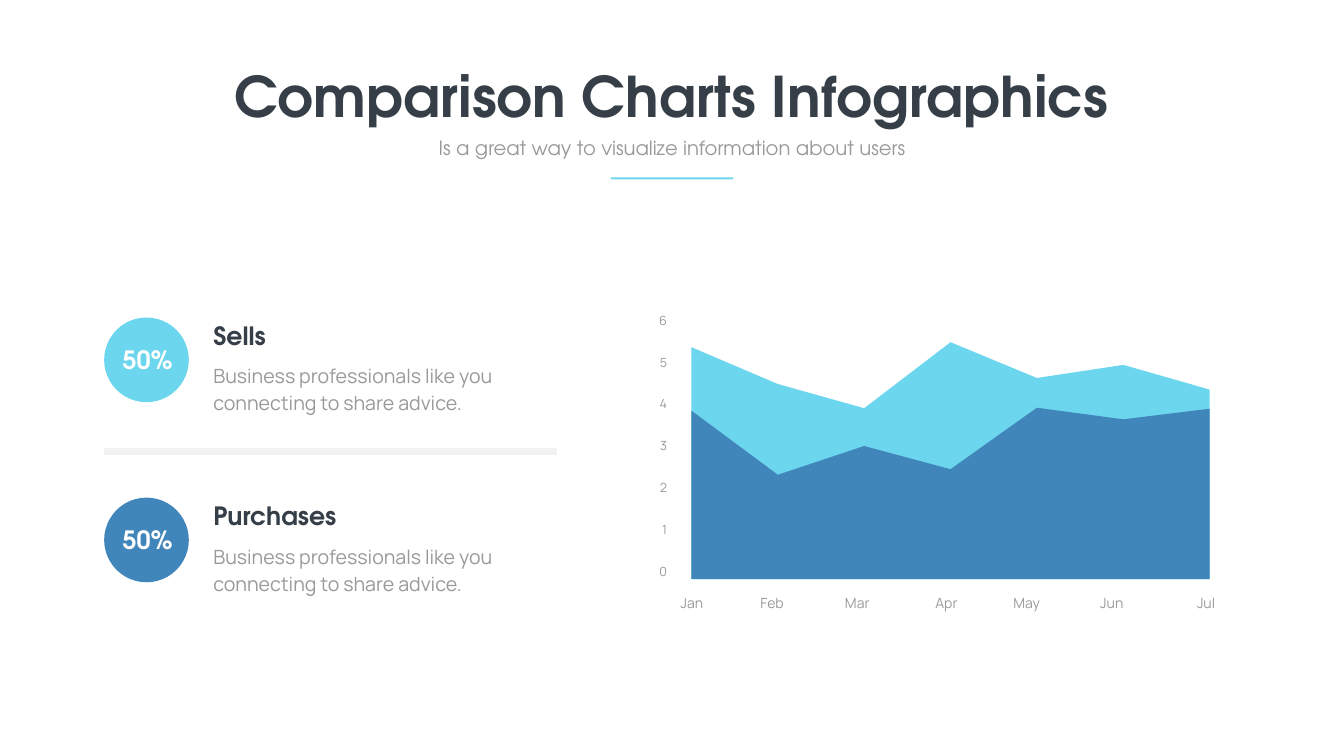
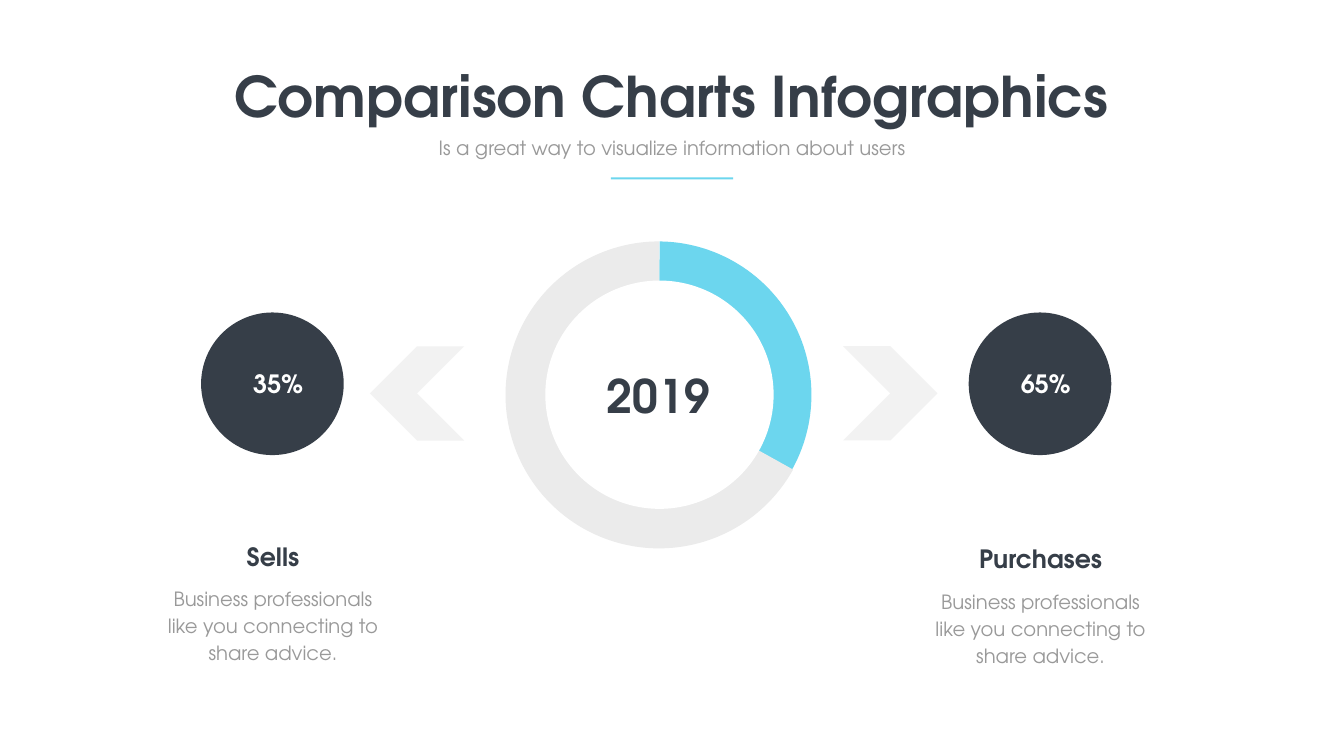
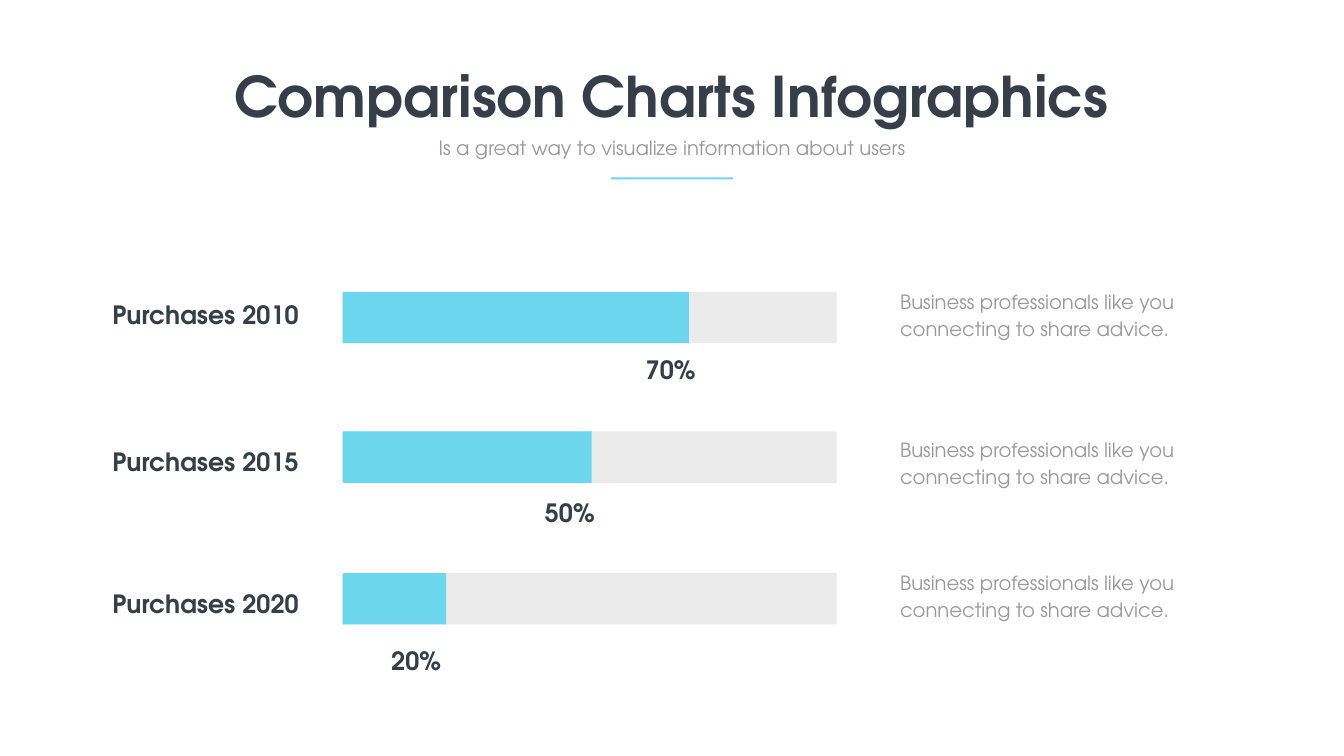
from lxml.etree import SubElement
from pptx import Presentation
from pptx.dml.color import RGBColor
from pptx.enum.shapes import MSO_CONNECTOR, MSO_SHAPE as Preset
from pptx.enum.text import MSO_AUTO_SIZE as AutoSize, PP_ALIGN as Align
from pptx.oxml.ns import qn
from pptx.util import Emu, Pt

# The slide is a grid of 80 columns by 45 rows of square cells.
COLUMNS, ROWS = 80, 45
CELL = 304800

CYAN, BLUE, DARK = "6CD6EE", "4186BA", "363E48"
GREY, TRACK, PALE, WHITE = "999999", "EBEBEB", "F2F2F2", "FFFFFF"
DISPLAY, PLAIN = "TeX Gyre Adventor", "Manrope"
ADVICE = "Business professionals like you connecting to share advice."


def cells(count):
    return Emu(round(count * CELL))


def color(hex_code):
    return RGBColor.from_string(hex_code)


def paint(shape, fill):
    shape.shadow.inherit = False
    shape.fill.solid()
    shape.fill.fore_color.rgb = color(fill)
    shape.line.fill.background()
    return shape


def add_block(slide, preset, left, top, width, height, fill):
    box = [cells(n) for n in (left, top, width, height)]
    return paint(slide.shapes.add_shape(preset, *box), fill)


def add_text(slide, words, left, top, width, height, size, ink=GREY, font=DISPLAY,
             bold=False, align=Align.LEFT, spacing=None, wrap=True):
    box = slide.shapes.add_textbox(*[cells(n) for n in (left, top, width, height)])
    frame = box.text_frame
    frame.word_wrap = wrap
    frame.auto_size = AutoSize.SHAPE_TO_FIT_TEXT
    paragraph = frame.paragraphs[0]
    paragraph.alignment = align
    if spacing:
        paragraph.line_spacing = Pt(spacing)
    run = paragraph.add_run()
    run.text = words
    run.font.name, run.font.size, run.font.bold = font, Pt(size), bold
    run.font.color.rgb = color(ink)


def add_heading(slide, words, left, top, width, ink=DARK, align=Align.LEFT, wrap=True):
    add_text(slide, words, left, top, width, 2.13, 36, ink, bold=True,
             align=align, wrap=wrap)


def add_advice(slide, left, top, width, lines, font=DISPLAY, align=Align.LEFT):
    add_text(slide, ADVICE, left, top, width, 0.3 + 1.62 * lines, 28, font=font,
             align=align, spacing=38.6)


def add_divider(slide, left, right, row, ink, weight):
    line = slide.shapes.add_connector(
        MSO_CONNECTOR.STRAIGHT, cells(left), cells(row), cells(right), cells(row))
    line.line.color.rgb = color(ink)
    line.line.width = Pt(weight)
    SubElement(line._element.spPr, qn("a:effectLst"))


def add_area(slide, left, right, base, tops, fill):
    """Fill from evenly spaced tops down to the base row."""
    step = (right - left) / (len(tops) - 1)
    ridge = [(left + i * step, top) for i, top in enumerate(tops)]
    outline = [(cells(x), cells(y)) for x, y in ridge + [(right, base), (left, base)]]
    builder = slide.shapes.build_freeform(*outline[0], scale=1.0)
    builder.add_line_segments(outline[1:], close=True)
    paint(builder.convert_to_shape(), fill)


def add_sector(slide, left, top, size, start, end, fill):
    """Draw a pie sector clockwise between two angles in degrees."""
    sector = add_block(slide, Preset.PIE, left, top, size, size, fill)
    for i, angle in enumerate((start, end)):
        sector.adjustments[i] = angle * 0.6


def add_titled_slide(deck):
    slide = deck.slides.add_slide(deck.slide_layouts[6])
    add_text(slide, "Comparison Charts Infographics", 13.4, 3.5, 53.13, 4.35, 80,
             DARK, bold=True, align=Align.CENTER, wrap=False)
    add_text(slide, "Is a great way to visualize information about users",
             25.65, 7.95, 28.7, 1.7, 28, align=Align.CENTER)
    add_block(slide, Preset.RECTANGLE, 36.36, 10.56, 7.28, 0.12, CYAN)
    return slide


def add_area_slide(deck):
    slide = add_titled_slide(deck)
    add_divider(slide, 6.2, 33.15, 26.9, PALE, 10)
    for i, (name, fill) in enumerate([("Sells", CYAN), ("Purchases", BLUE)]):
        top = 18.9 + 10.72 * i
        add_advice(slide, 12.4, top + 2.43, 20.5, 2, PLAIN)
        add_heading(slide, name, 12.4, top, 14.34)
        add_block(slide, Preset.OVAL, 6.2, top, 5.04, 5.04, fill)
        add_heading(slide, "50%", 7, top + 1.42, 5.55, WHITE)

    sells = [20.67, 22.86, 24.3, 20.37, 22.5, 21.72, 23.19]
    purchases = [24.45, 28.26, 26.55, 27.93, 24.27, 24.96, 24.33]
    for tops, fill in ((sells, CYAN), (purchases, BLUE)):
        add_area(slide, 41.16, 72, 34.47, tops, fill)

    for value in range(7):
        add_text(slide, str(value), 38, 17.88 + 2.49 * (6 - value), 2, 1.68, 18,
                 font=PLAIN, align=Align.RIGHT, spacing=35.6)
    months = {"Jan": 39.18, "Feb": 43.95, "Mar": 49.02, "Apr": 54.33,
              "May": 59.1, "Jun": 64.17, "Jul": 69.78}
    for month, left in months.items():
        add_text(slide, month, left, 34.74, 4.02, 1.68, 20,
                 font=PLAIN, align=Align.CENTER, spacing=35.6)


def add_ring_slide(deck):
    slide = add_titled_slide(deck)
    add_sector(slide, 30.03, 14.37, 18.27, 270.65, 29.87, CYAN)
    add_sector(slide, 30.09, 14.37, 18.27, 29.11, 270.07, TRACK)
    add_block(slide, Preset.OVAL, 32.46, 16.7, 13.59, 13.59, WHITE)
    add_text(slide, "2019", 35.79, 21.69, 6.84, 3.63, 66, DARK, bold=True,
             align=Align.CENTER, wrap=False)

    sides = [("Sells", "35%", 16.24, 32.07, 34.56, 22.02, 180),
             ("Purchases", "65%", 61.93, 32.22, 34.77, 50.19, 0)]
    for name, share, center, name_top, advice_top, arrow_left, turn in sides:
        add_block(slide, Preset.OVAL, center - 4.27, 18.6, 8.49, 8.49, DARK)
        add_heading(slide, share, center - 7.02, 21.78, 14.67, WHITE, Align.CENTER)
        add_heading(slide, name, center - 7.33, name_top, 14.67, align=Align.CENTER)
        add_advice(slide, center - 7.06, advice_top, 14.13, 3, align=Align.CENTER)
        arrow = add_block(slide, Preset.CHEVRON, arrow_left, 20.61, 5.61, 5.61, PALE)
        arrow.rotation = turn


def add_bar_slide(deck):
    slide = add_titled_slide(deck)
    # year, share, bar top, filled width, name top, share left, share top, advice top
    bars = [("2010", "70%", 17.37, 20.61, 17.64, 38.1, 20.94, 16.92),
            ("2015", "50%", 25.68, 14.82, 26.43, 32.1, 29.46, 25.71),
            ("2020", "20%", 34.11, 6.15, 34.89, 22.95, 38.28, 33.63)]
    for year, share, top, filled, name_top, share_left, share_top, advice_top in bars:
        for width, fill in ((29.4, TRACK), (filled, CYAN)):
            add_block(slide, Preset.RECTANGLE, 20.4, top, width, 3.06, fill)
        add_heading(slide, f"Purchases {year}", 6.39, name_top, 14.04)
        add_heading(slide, share, share_left, share_top, 3.6,
                    align=Align.RIGHT, wrap=False)
        add_advice(slide, 53.28, advice_top, 20.25, 2)


def main():
    deck = Presentation()
    deck.slide_width, deck.slide_height = cells(COLUMNS), cells(ROWS)
    add_area_slide(deck)
    add_ring_slide(deck)
    add_bar_slide(deck)
    deck.save("out.pptx")


if __name__ == "__main__":
    main()
